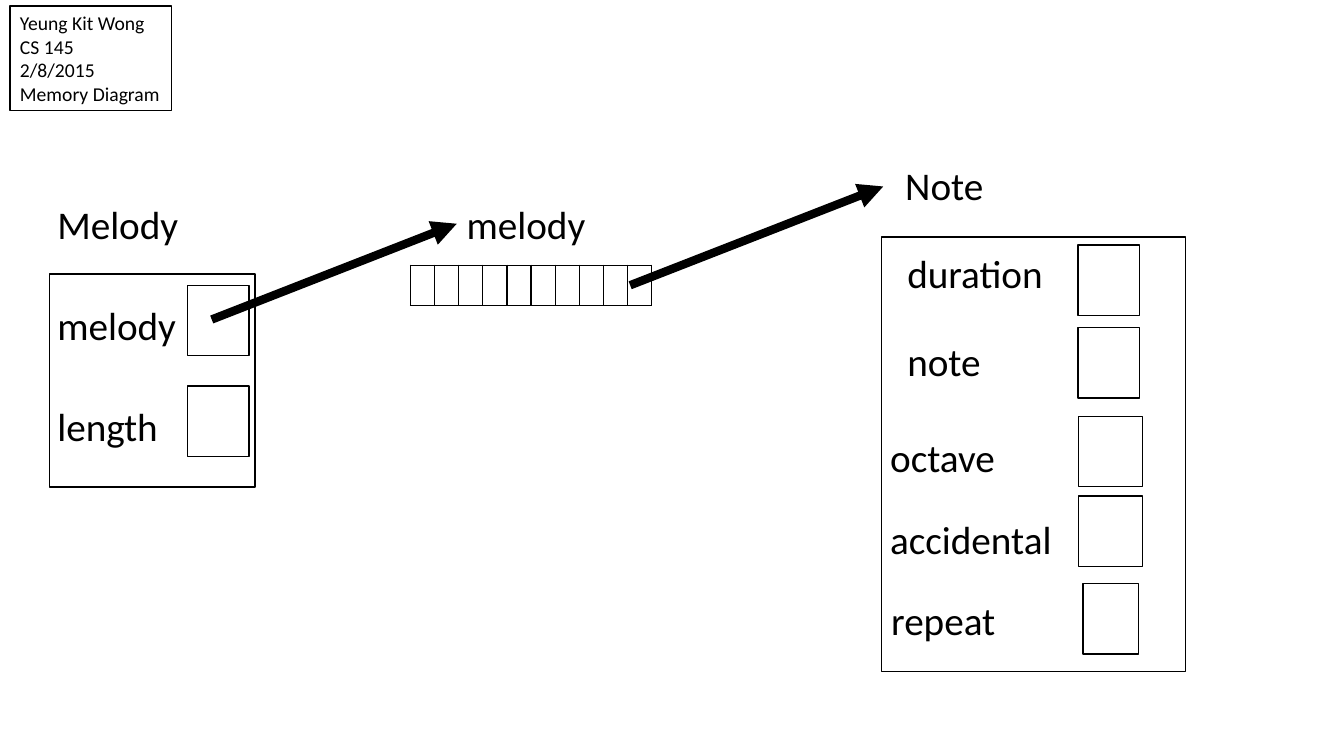
from lxml import etree
from pptx import Presentation
from pptx.dml.color import RGBColor
from pptx.enum.shapes import MSO_CONNECTOR, MSO_SHAPE
from pptx.enum.text import MSO_AUTO_SIZE
from pptx.oxml.ns import qn
from pptx.util import Inches, Pt

RECTANGLE = MSO_SHAPE.RECTANGLE
STRAIGHT = MSO_CONNECTOR.STRAIGHT
GROW = MSO_AUTO_SIZE.SHAPE_TO_FIT_TEXT

FONT = "Calibri"
BLACK = "000000"
WHITE = "FFFFFF"
LABEL_HEIGHT = 0.57
FIELD_HEIGHT = 0.7

AUTHOR_LINES = ["Yeung Kit Wong", "CS 145", "2/8/2015", "Memory Diagram"]
AUTHOR_BOX = (0.1, 0.06, 1.6, 1.04)

OBJECTS = [
    {
        "title": ("Note", 8.88, 1.55, 2.22),
        "frame": (8.74, 2.35, 3.02, 4.31),
        "fields": [
            (("duration", 8.9, 2.42, 2.35), (10.69, 2.43, 0.61)),
            (("note", 8.9, 3.3, 1.99), (10.69, 3.25, 0.61)),
            (("octave", 8.73, 4.25, 2.85), (10.7, 4.13, 0.63)),
            (("accidental", 8.73, 5.06, 2.37), (10.7, 4.92, 0.63)),
            (("repeat", 8.74, 5.87, 1.41), (10.74, 5.79, 0.55)),
        ],
    },
    {
        "title": ("Melody", 0.47, 1.94, 2.22),
        "frame": (0.49, 2.72, 2.04, 2.11),
        "fields": [
            (("melody", 0.47, 2.94, 1.39), (1.86, 2.83, 0.61)),
            (("length", 0.47, 3.94, 1.33), (1.86, 3.83, 0.61)),
        ],
    },
]

ARRAY_TITLE = ("melody", 4.53, 1.94, 1.66)
ARRAY_PLACE = (4.07, 2.63)
ARRAY_CELLS = 10
CELL_WIDTH = 0.23
CELL_HEIGHT = 0.4
ARROWS = [(2.1, 3.17, 4.53, 2.22), (6.25, 2.83, 8.76, 1.85)]


def color(value):
    return RGBColor.from_string(value)


def inches(values):
    return [Inches(value) for value in values]


def style_line(line, width):
    line.color.rgb = color(BLACK)
    line.width = Pt(width)


def add_text(page, lines, place, size, wrap):
    box = page.shapes.add_textbox(*inches(place))
    frame = box.text_frame
    frame.word_wrap = wrap
    frame.auto_size = GROW
    frame.text = "\n".join(lines)
    for para in frame.paragraphs:
        for span in para.runs:
            span.font.name = FONT
            span.font.size = Pt(size)
            span.font.color.rgb = color(BLACK)
    return box


def add_label(page, label):
    text, left, top, width = label
    add_text(page, [text], (left, top, width, LABEL_HEIGHT), 28, True)


def add_frame(page, place):
    shape = page.shapes.add_shape(RECTANGLE, *inches(place))
    shape.shadow.inherit = False
    shape.fill.background()
    style_line(shape.line, 1)


def add_object(page, title, frame, fields):
    add_label(page, title)
    add_frame(page, frame)
    for label, field in fields:
        add_label(page, label)
        add_frame(page, (*field, FIELD_HEIGHT))


def add_arrow(page, ends):
    arrow = page.shapes.add_connector(STRAIGHT, *inches(ends))
    style_line(arrow.line, 6)
    etree.SubElement(arrow.line._get_or_add_ln(), qn("a:tailEnd"), type="triangle")
    etree.SubElement(arrow._element.spPr, qn("a:effectLst"))


def outline_cell(cell):
    cell.fill.background()
    properties = cell._tc.get_or_add_tcPr()
    for index, side in enumerate(("lnL", "lnR", "lnT", "lnB")):
        border = etree.Element(qn(f"a:{side}"), w=str(Pt(1)))
        fill = etree.SubElement(border, qn("a:solidFill"))
        etree.SubElement(fill, qn("a:srgbClr"), val=BLACK)
        properties.insert(index, border)


def add_array(page):
    size = (ARRAY_CELLS * CELL_WIDTH, CELL_HEIGHT)
    table = page.shapes.add_table(1, ARRAY_CELLS, *inches(ARRAY_PLACE + size)).table
    table.first_row = False
    table.horz_banding = False
    for column in table.columns:
        column.width = Inches(CELL_WIDTH)
    for cell in table.iter_cells():
        outline_cell(cell)


def main():
    deck = Presentation()
    deck.slide_width = Inches(13.33)
    deck.slide_height = Inches(7.5)
    page = deck.slides.add_slide(deck.slide_layouts[6])

    for item in OBJECTS:
        add_object(page, **item)
    add_label(page, ARRAY_TITLE)
    author = add_text(page, AUTHOR_LINES, AUTHOR_BOX, 14, False)
    author.fill.solid()
    author.fill.fore_color.rgb = color(WHITE)
    style_line(author.line, 1)
    add_array(page)
    for ends in ARROWS:
        add_arrow(page, ends)

    deck.save("out.pptx")


if __name__ == "__main__":
    main()
